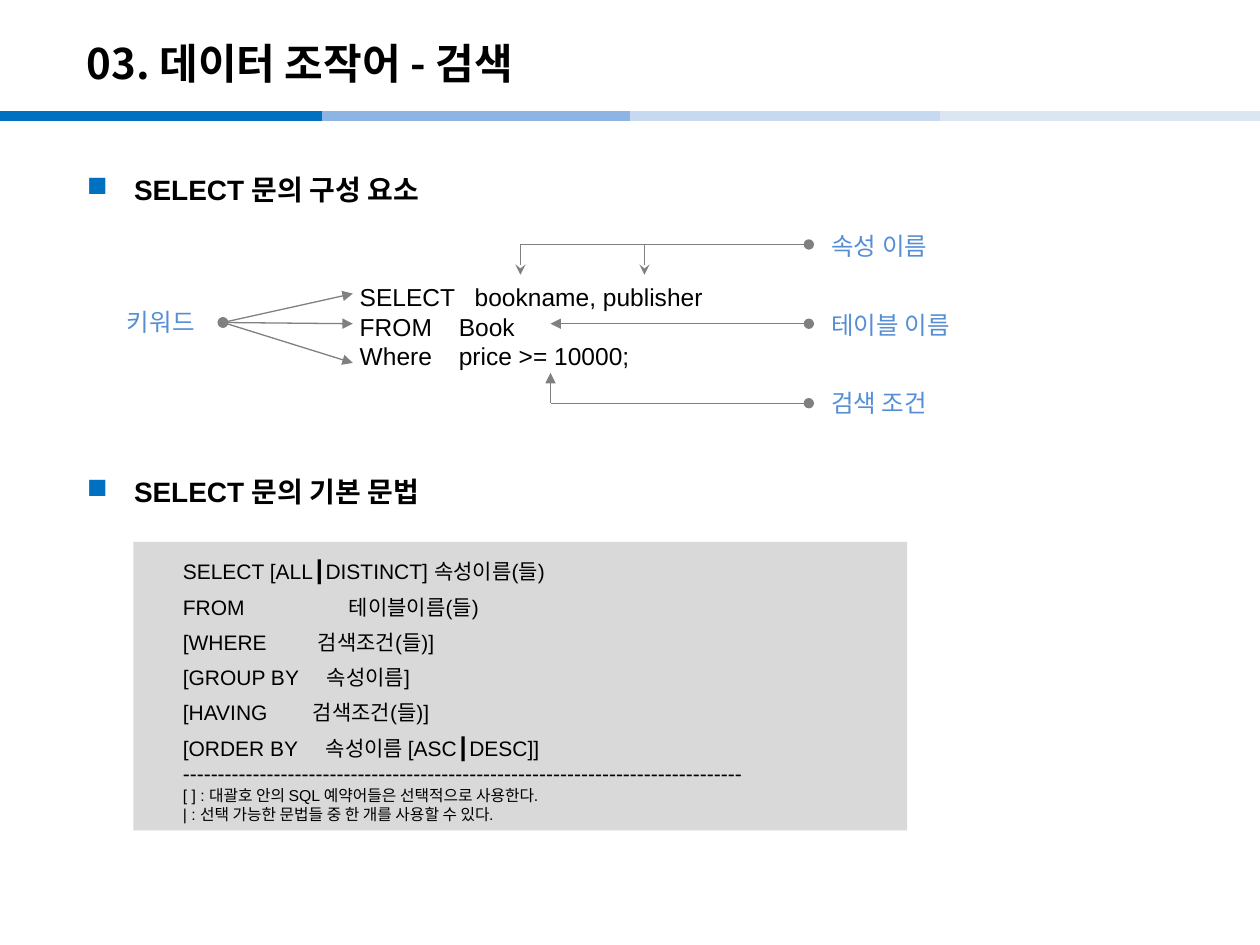
from lxml.etree import SubElement
from pptx import Presentation
from pptx.dml.color import RGBColor
from pptx.enum.shapes import MSO_CONNECTOR, MSO_SHAPE
from pptx.enum.text import MSO_ANCHOR
from pptx.oxml.ns import qn
from pptx.util import Pt

BLACK = RGBColor(0x00, 0x00, 0x00)
BLUE = RGBColor(0x00, 0x70, 0xC0)
LABEL_BLUE = RGBColor(0x55, 0x8E, 0xD5)
LINE_GRAY = RGBColor(0x80, 0x80, 0x80)
PANEL_GRAY = RGBColor(0xD9, 0xD9, 0xD9)
BAND_COLORS = [BLUE, RGBColor(0x8E, 0xB4, 0xE3), RGBColor(0xC6, 0xD9, 0xF1), RGBColor(0xDC, 0xE6, 0xF2)]
HANGUL = "Noto Sans CJK KR"
LATIN = "Arial"


def add_para(box, text, size, font=LATIN, color=BLACK, bold=False, spacing=1.0, tab=None):
    frame = box.text_frame
    frame.word_wrap = True
    para = frame.paragraphs[0]
    if para.runs:
        para = frame.add_paragraph()
    para.line_spacing = spacing
    span = para.add_run()
    span.text = text
    span.font.size = Pt(size)
    span.font.bold = bold
    span.font.name = font
    span.font.color.rgb = color
    SubElement(span.font._element, qn("a:ea"), typeface=HANGUL)
    if tab:
        tabs = SubElement(para._p.get_or_add_pPr(), qn("a:tabLst"))
        SubElement(tabs, qn("a:tab"), pos=str(Pt(tab)), algn="l")
    return para


def add_line(start, end, color, width, head=None, tail=None):
    line = page.shapes.add_connector(MSO_CONNECTOR.STRAIGHT, *[Pt(value) for value in start + end])
    line.line.color.rgb = color
    line.line.width = Pt(width)
    outline = line.line._get_or_add_ln()
    for tag, kind in (("a:headEnd", head), ("a:tailEnd", tail)):
        if kind:
            SubElement(outline, qn(tag), type=kind)
    SubElement(line._element.spPr, qn("a:effectLst"))


deck = Presentation()
deck.slide_width = Pt(720)
deck.slide_height = Pt(540)
page = deck.slides.add_slide(deck.slide_layouts[6])

for left, color in zip((0, 184.3, 360, 537.1), BAND_COLORS):
    add_line((left, 66.2), (min(left + 184.3, 720), 66.2), color, 6)

title = page.shapes.add_textbox(Pt(42.5), Pt(14.4), Pt(595.4), Pt(43.2))
title.text_frame.vertical_anchor = MSO_ANCHOR.MIDDLE
add_para(title, "03. 데이터 조작어 - 검색", 24, HANGUL, bold=True)

for top, text in ((85.7, "SELECT 문의 구성 요소"), (258.3, "SELECT 문의 기본 문법")):
    heading = page.shapes.add_textbox(Pt(42.5), Pt(top), Pt(635), Pt(36))
    para = add_para(heading, text, 16, bold=True, spacing=1.5)
    properties = para._p.get_or_add_pPr()
    properties.set("marL", str(Pt(27)))
    properties.set("indent", str(-Pt(27)))
    bullet_color = SubElement(properties, qn("a:buClr"))
    SubElement(bullet_color, qn("a:srgbClr"), val=str(BLUE))
    SubElement(properties, qn("a:buChar"), char="■")

panel = page.shapes.add_shape(MSO_SHAPE.RECTANGLE, Pt(76.3), Pt(309.6), Pt(442.1), Pt(164.9))
panel.shadow.inherit = False
panel.fill.solid()
panel.fill.fore_color.rgb = PANEL_GRAY
panel.line.fill.background()
panel.text_frame.vertical_anchor = MSO_ANCHOR.MIDDLE
panel.text_frame.margin_left = Pt(28.2)
syntax = [
    ("SELECT [ALL┃DISTINCT] 속성이름(들)", 12, 1.4, None),
    ("FROM\t테이블이름(들)", 12, 1.4, 94.9),
    ("[WHERE\t검색조건(들)]", 12, 1.4, 77.1),
    ("[GROUP BY\t속성이름]", 12, 1.4, 82.3),
    ("[HAVING\t검색조건(들)]", 12, 1.4, 74.3),
    ("[ORDER BY\t속성이름 [ASC┃DESC]]", 12, 1.4, 81.7),
    ("-" * 80, 12, 1.0, None),
    ("[ ] : 대괄호 안의 SQL 예약어들은 선택적으로 사용한다.", 9, 1.0, None),
    ("| : 선택 가능한 문법들 중 한 개를 사용할 수 있다.", 9, 1.0, None),
]
for text, size, spacing, tab in syntax:
    para = add_para(panel, text, size, spacing=spacing, tab=tab)
    para._p.get_or_add_pPr().set("algn", "l")

query = page.shapes.add_textbox(Pt(198.5), Pt(157.7), Pt(360), Pt(58.3))
for text, tab in (
    ("SELECT\tbookname, publisher", 65.7),
    ("FROM\tBook", 56.6),
    ("Where\tprice >= 10000;", 56.6),
):
    add_para(query, text, 14, tab=tab)

for text, left, top, width in (
    ("키워드", 65.5, 172.1, 62.6),
    ("속성 이름", 468, 128.2, 85),
    ("테이블 이름", 468, 173.5, 96.5),
    ("검색 조건", 468, 218.2, 96.5),
):
    label = page.shapes.add_textbox(Pt(left), Pt(top), Pt(width), Pt(24.5))
    add_para(label, text, 14, HANGUL, LABEL_BLUE)

for end_y in (185, 167.8, 207.4):
    add_line((127.4, 184.3), (201.6, end_y), LINE_GRAY, 0.75, "oval", "triangle")
for x in (297.4, 368.3):
    add_line((x, 157), (x, 139.7), LINE_GRAY, 0.75, "stealth")
add_line((314.6, 230.4), (314.6, 213.1), LINE_GRAY, 0.75, tail="triangle")
for x, y, head in ((297.4, 139.7, None), (314.6, 185, "triangle"), (314.6, 230.4, None)):
    add_line((x, y), (462.2, y), LINE_GRAY, 0.75, head, "oval")

deck.save("out.pptx")
